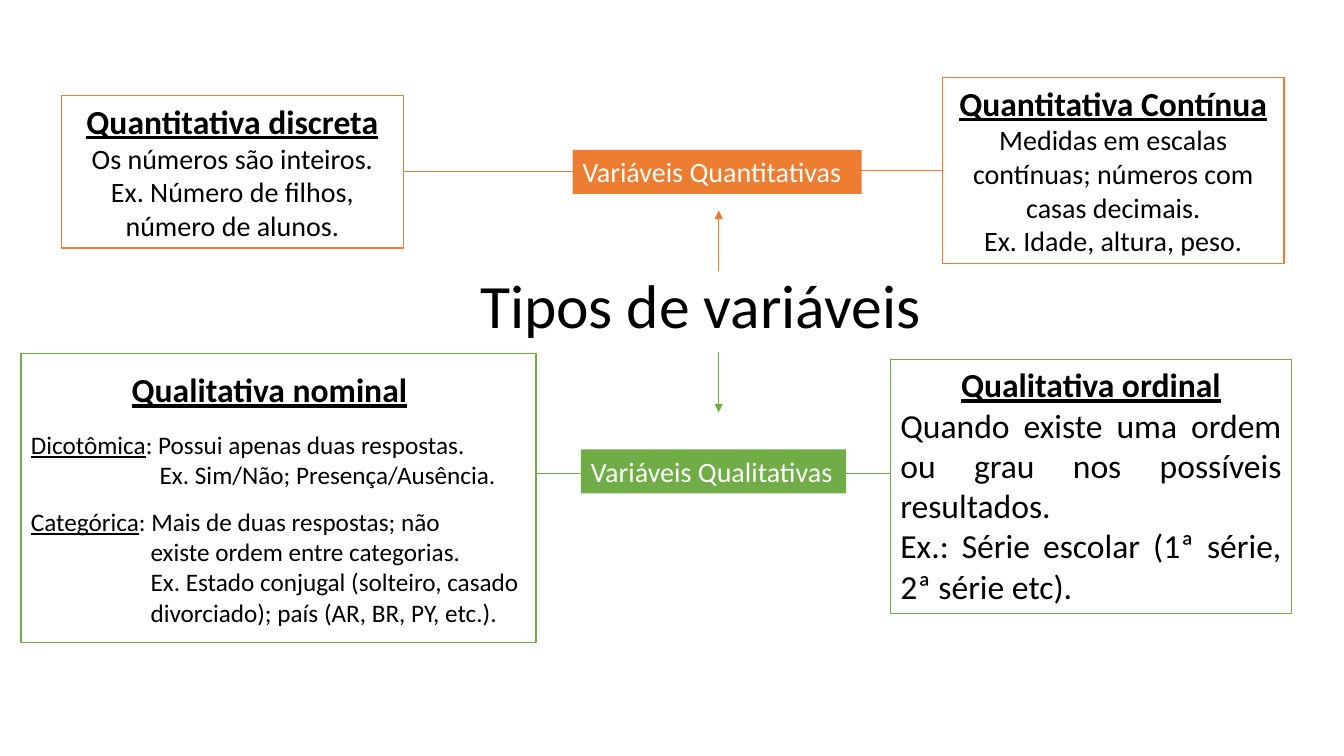
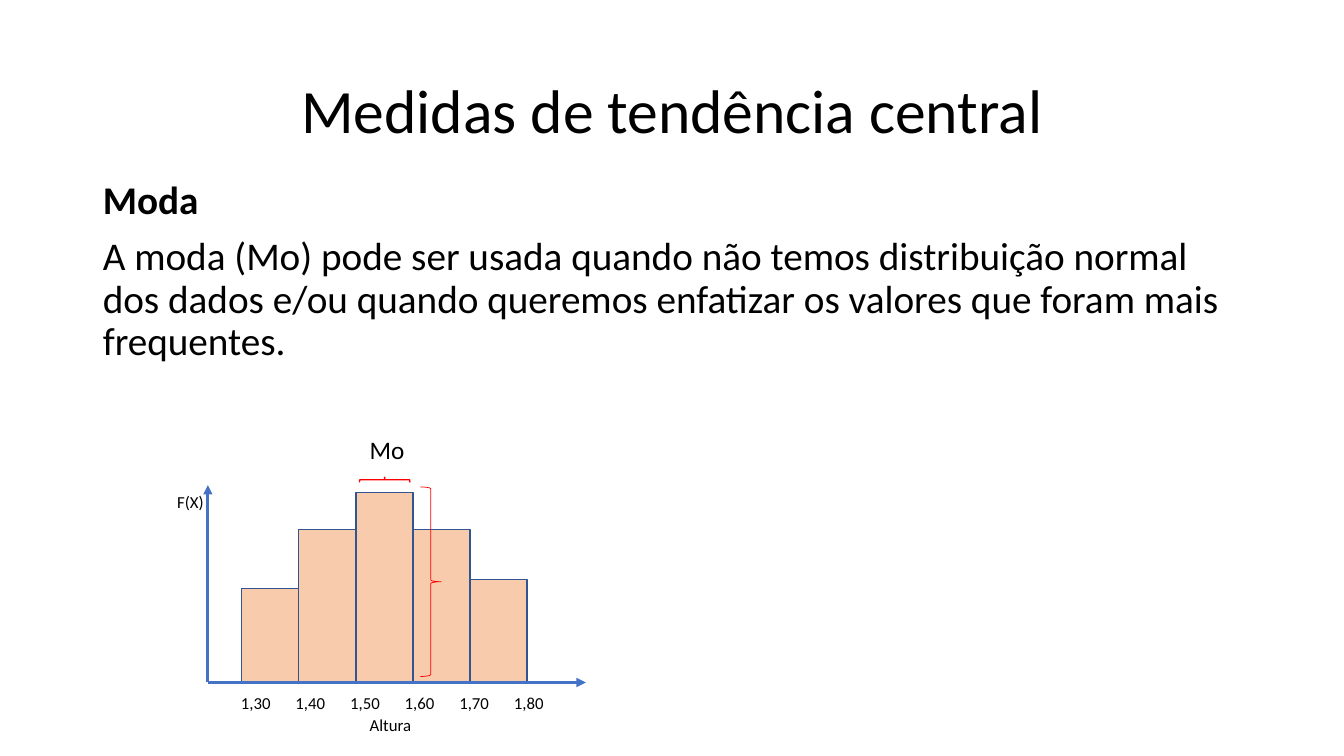
"""Build two statistics slides: types of variables and the mode."""
from lxml import etree
from pptx import Presentation
from pptx.dml.color import RGBColor
from pptx.enum.shapes import MSO_CONNECTOR, MSO_SHAPE
from pptx.enum.text import MSO_ANCHOR, MSO_AUTO_SIZE, PP_ALIGN
from pptx.oxml.ns import qn
from pptx.util import Pt

RECTANGLE = MSO_SHAPE.RECTANGLE
BRACE = MSO_SHAPE.RIGHT_BRACE
STRAIGHT = MSO_CONNECTOR.STRAIGHT
TOP, MIDDLE = MSO_ANCHOR.TOP, MSO_ANCHOR.MIDDLE
NO_AUTOFIT = MSO_AUTO_SIZE.NONE
LEFT, CENTER, JUSTIFY = PP_ALIGN.LEFT, PP_ALIGN.CENTER, PP_ALIGN.JUSTIFY

FONT = "Calibri"
BLACK = RGBColor(0x00, 0x00, 0x00)
WHITE = RGBColor(0xFF, 0xFF, 0xFF)
ORANGE = RGBColor(0xED, 0x7D, 0x31)
GREEN = RGBColor(0x70, 0xAD, 0x47)
BLUE = RGBColor(0x44, 0x72, 0xC4)
DARK_BLUE = RGBColor(0x32, 0x54, 0x91)
PEACH = RGBColor(0xF8, 0xCB, 0xAD)
RED = RGBColor(0xFF, 0x00, 0x00)


def write(text_frame, text, size=20, color=BLACK, bold=False, underline=False,
          align=LEFT, indent=0, before=0, spacing=1.0, lead=""):
    """Add one paragraph, with an optional underlined lead."""
    paragraph = text_frame.paragraphs[0]
    if paragraph.runs:
        paragraph = text_frame.add_paragraph()
    paragraph.alignment = align
    paragraph.line_spacing = spacing
    paragraph.space_before = Pt(before)
    properties = paragraph._p.get_or_add_pPr()
    properties.set("marL", str(Pt(indent)))
    properties.set("indent", "0")
    etree.SubElement(properties, qn("a:buNone"))
    for content, underlined in ((lead, True), (text, underline)):
        if content:
            run = paragraph.add_run()
            run.text = content
            run.font.name = FONT
            run.font.size = Pt(size)
            run.font.bold = bold
            run.font.underline = underlined
            run.font.color.rgb = color


def add_line(slide, x1, y1, x2, y2, color, width=0.5, arrow=False):
    """Draw a straight line, with an optional arrowhead at its end."""
    line = slide.shapes.add_connector(STRAIGHT, Pt(x1), Pt(y1), Pt(x2), Pt(y2))
    line.line.color.rgb = color
    line.line.width = Pt(width)
    if arrow:
        etree.SubElement(line.line._get_or_add_ln(), qn("a:tailEnd"), type="triangle")
    etree.SubElement(line._element.spPr, qn("a:effectLst"))


presentation = Presentation()
presentation.slide_width = Pt(960)
presentation.slide_height = Pt(540)

slides = []
for layout, title, left, top in (
    (5, "Tipos de variáveis", 86.4, 168.5),
    (1, "Medidas de tendência central", 66.24, 28.8),
):
    slide = presentation.slides.add_slide(presentation.slide_layouts[layout])
    shape = slide.shapes.title
    shape.left, shape.top, shape.width, shape.height = Pt(left), Pt(top), Pt(828), Pt(104.4)
    shape.text_frame.auto_size = NO_AUTOFIT
    shape.text_frame.vertical_anchor = MIDDLE
    write(shape.text_frame, title, size=44, align=CENTER, spacing=0.9)
    slides.append(slide)
types_slide, mode_slide = slides

for x1, y1, x2, y2, color, arrow in (
    (288, 122.4, 409, 122.4, ORANGE, False),
    (582, 121.7, 673.2, 121.7, ORANGE, False),
    (383, 338.4, 418, 338.4, GREEN, False),
    (602, 338.4, 636, 338.4, GREEN, False),
    (513.4, 193.7, 513.4, 150.5, ORANGE, True),
    (513.4, 251.3, 513.4, 294.5, GREEN, True),
):
    add_line(types_slide, x1, y1, x2, y2, color, arrow=arrow)

heading = {"size": 24, "bold": True, "underline": True, "align": CENTER}
centered = {"align": CENTER}
justified = {"size": 24, "align": JUSTIFY}
small = {"size": 18}
category_detail = {"size": 18, "indent": 85.5}
label = {"color": WHITE}

boxes = (
    (44, 68.4, 244, 108.8, WHITE, ORANGE, 0.75, (
        ("Quantitativa discreta", heading),
        ("Os números são inteiros.", centered),
        ("Ex. Número de filhos, número de alunos.", centered))),
    (673.2, 55.4, 244, 133, WHITE, ORANGE, 0.75, (
        ("Quantitativa Contínua", heading),
        ("Medidas em escalas contínuas; números com casas decimais.", centered),
        ("Ex. Idade, altura, peso.", centered))),
    (15, 252.5, 368, 206.5, None, GREEN, 1, ()),
    (70.5, 260, 244, 36, None, None, 0, (("Qualitativa nominal", heading),)),
    (15, 303, 368, 51, None, None, 0, (
        (": Possui apenas duas respostas.", {**small, "lead": "Dicotômica"}),
        ("Ex. Sim/Não; Presença/Ausência.", {**small, "indent": 92}))),
    (15, 358, 368, 94.5, None, None, 0, (
        (": Mais de duas respostas; não", {**small, "lead": "Categórica"}),
        ("existe ordem entre categorias.", category_detail),
        ("Ex. Estado conjugal (solteiro, casado", category_detail),
        ("divorciado); país (AR, BR, PY, etc.).", category_detail))),
    (636, 256.5, 286.5, 181.5, WHITE, GREEN, 0.75, (
        ("Qualitativa ordinal", heading),
        ("Quando existe uma ordem ou grau nos possíveis resultados.", justified),
        ("Ex.: Série escolar (1ª série, 2ª série etc).", justified))),
    (409, 107, 206.5, 31.5, ORANGE, None, 0, (("Variáveis Quantitativas", label),)),
    (415, 321, 189.5, 31.5, GREEN, None, 0, (("Variáveis Qualitativas", label),)),
)
for left, top, width, height, fill, border, border_width, paragraphs in boxes:
    box = types_slide.shapes.add_shape(RECTANGLE, Pt(left), Pt(top), Pt(width), Pt(height))
    box.shadow.inherit = False
    if fill is None:
        box.fill.background()
    else:
        box.fill.solid()
        box.fill.fore_color.rgb = fill
    if border is None:
        box.line.fill.background()
    else:
        box.line.color.rgb = border
        box.line.width = Pt(border_width)
    box.text_frame.word_wrap = True
    box.text_frame.vertical_anchor = TOP
    for text, text_format in paragraphs:
        write(box.text_frame, text, **text_format)

body = mode_slide.placeholders[1]
body.left, body.top, body.width, body.height = Pt(66.24), Pt(125.3), Pt(828), Pt(190.8)
body.text_frame.auto_size = NO_AUTOFIT
write(body.text_frame, "Moda", size=28, bold=True, spacing=0.9)
write(
    body.text_frame,
    "A moda (Mo) pode ser usada quando não temos distribuição normal dos dados "
    "e/ou quando queremos enfatizar os valores que foram mais frequentes.",
    size=28, before=10, spacing=0.9,
)

AXIS_X, AXIS_Y = 148.5, 487.5
BAR_LEFT, BAR_WIDTH = 172.6, 40.8
for index, height in enumerate((67, 109.5, 135.5, 109.5, 73.5)):
    bar = mode_slide.shapes.add_shape(
        RECTANGLE, Pt(BAR_LEFT + index * BAR_WIDTH), Pt(AXIS_Y - height),
        Pt(BAR_WIDTH), Pt(height))
    bar.shadow.inherit = False
    bar.fill.solid()
    bar.fill.fore_color.rgb = PEACH
    bar.line.color.rgb = DARK_BLUE
    bar.line.width = Pt(1)

add_line(mode_slide, AXIS_X, AXIS_Y, AXIS_X, 346.5, BLUE, width=2.25, arrow=True)
add_line(mode_slide, AXIS_X, AXIS_Y, 418.5, AXIS_Y, BLUE, width=2.25, arrow=True)

chart_labels = [
    ("F(X)", 119.5, 348, 34, 12),
    ("Altura", 257, 507, 44.5, 12),
    ("Mo", 257, 306.7, 39.5, 18),
]
for index, tick in enumerate(("1,30", "1,40", "1,50", "1,60", "1,70", "1,80")):
    chart_labels.append((tick, 165 + 39 * index, 491, 36, 12))
for text, left, top, width, size in chart_labels:
    text_box = mode_slide.shapes.add_textbox(Pt(left), Pt(top), Pt(width), Pt(size * 1.2 + 7.2))
    text_box.text_frame.word_wrap = False
    write(text_box.text_frame, text, size=size)

for left, top, width, height, rotation, line_width in (
    (273, 324.7, 3.6, 36, 270, 1),
    (300.2, 347.8, 15, 135.4, 0, 0.5),
):
    brace = mode_slide.shapes.add_shape(BRACE, Pt(left), Pt(top), Pt(width), Pt(height))
    brace.shadow.inherit = False
    brace.rotation = rotation
    brace.fill.background()
    brace.line.color.rgb = RED
    brace.line.width = Pt(line_width)

presentation.save("out.pptx")
